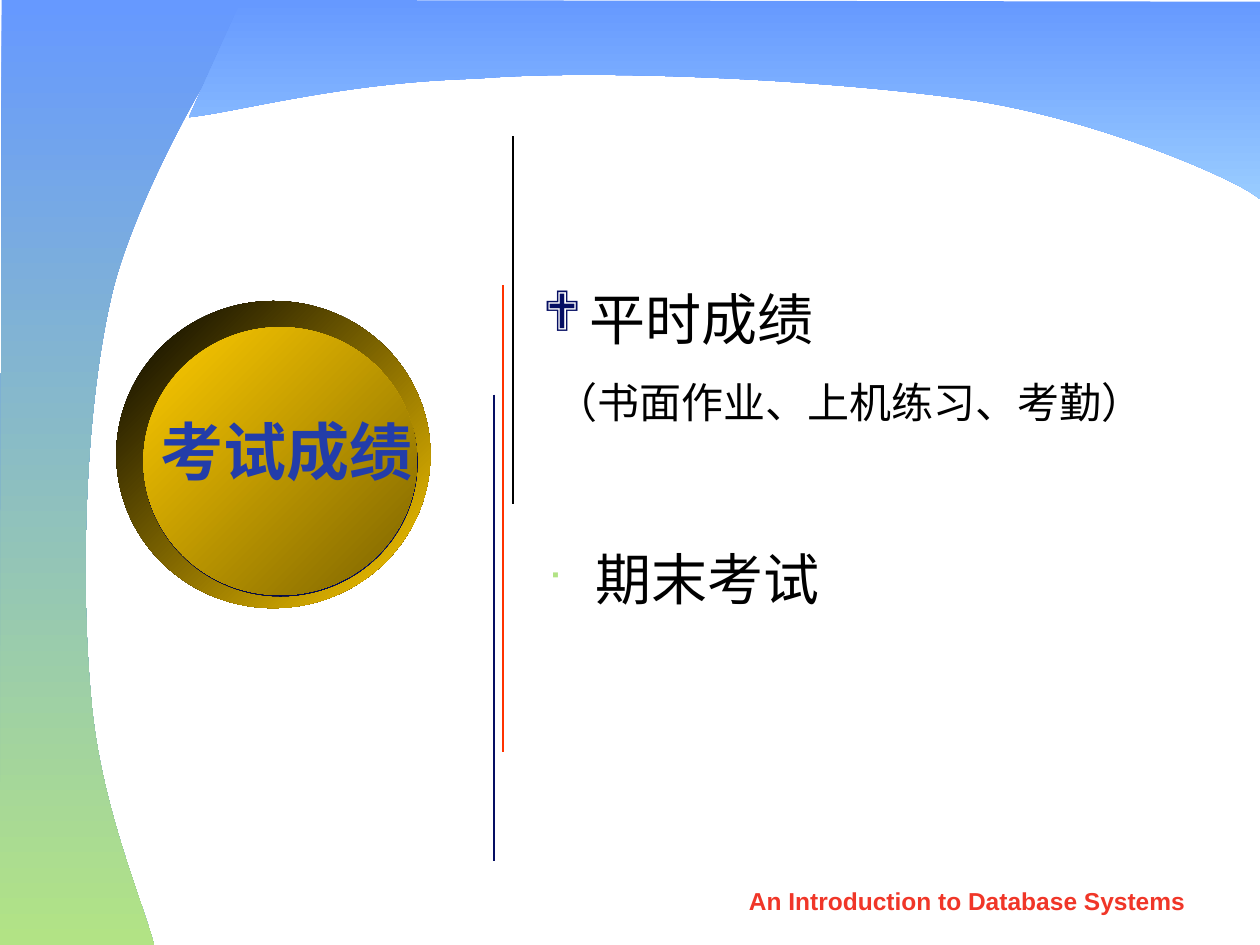
from copy import deepcopy
from dataclasses import dataclass

from lxml.etree import SubElement
from pptx import Presentation
from pptx.dml.color import RGBColor as RGB
from pptx.enum.shapes import MSO_CONNECTOR as Connector, MSO_SHAPE as Preset
from pptx.enum.text import MSO_ANCHOR as Anchor, MSO_AUTO_SIZE as AutoSize, PP_ALIGN as Align
from pptx.oxml.ns import qn
from pptx.util import Pt

Point = tuple[float, float]


@dataclass(frozen=True)
class Theme:
    sky: str = "6699FF"
    pale_sky: str = "99CCFF"
    green: str = "B2E385"
    gold: str = "FFCC00"
    dark_gold: str = "7C6300"
    black: str = "000000"
    navy: str = "050E63"
    deep_navy: str = "030836"
    blue: str = "233DA9"
    orange: str = "FF3300"
    red: str = "F03628"
    title_font: str = "Karla"
    latin_font: str = "Arial"
    chinese_font: str = "Noto Sans CJK SC"
    bullet_font: str = "Wingdings"
    title_size: float = 36
    item_size: float = 32
    detail_size: float = 24
    footer_size: float = 14


@dataclass(frozen=True)
class Swoosh:
    start: Point
    curves: tuple[tuple[Point, Point, Point], ...]
    corners: tuple[Point, ...]
    colors: tuple[str, ...]


@dataclass(frozen=True)
class Disc:
    left: float
    top: float
    width: float
    height: float
    colors: tuple[str, ...]
    angle: float  # clockwise


@dataclass(frozen=True)
class Rule:
    x: float
    top: float
    bottom: float
    color: str


THEME = Theme()

SWOOSHES = (
    Swoosh((88, 540),
           (((82, 516), (57, 460), (52.5, 397.5)),
            ((45.5, 334), (48, 232), (65, 164)),
            ((82, 100), (138, 7), (150, 0.5))),
           ((0.75, 0), (0, 540)), (THEME.sky, THEME.green)),
    Swoosh((108, 67),
           (((135.5, 63.5), (196, 47), (271.5, 45)),
            ((343, 39), (483, 45.5), (559.5, 57.5)),
            ((633, 70.5), (712, 105), (719.5, 114))),
           ((720, 1.25), (137.5, 0)), (THEME.sky, THEME.pale_sky)),
)

DISCS = (
    Disc(66.5, 172, 179.5, 175.5, (THEME.black, THEME.gold), 45),
    Disc(82, 187.75, 156.5, 153, (THEME.deep_navy, THEME.navy, THEME.deep_navy), 315),
    Disc(82, 187, 156.25, 153, (THEME.gold, THEME.dark_gold), 45),
)

RULES = (
    Rule(287.5, 163, 429.5, THEME.orange),
    Rule(282.25, 225.5, 491.75, THEME.navy),
    Rule(293.25, 78, 288, THEME.black),
)


def paint_gradient(shape, colors: tuple[str, ...], angle: float) -> None:
    shape.shadow.inherit = False
    shape.line.fill.background()
    fill = shape.fill
    fill.gradient()
    fill.gradient_angle = (360 - angle) % 360
    stop_list = shape.element.find(".//" + qn("a:gsLst"))
    for _ in colors[2:]:
        stop_list.append(deepcopy(stop_list[-1]))
    for i, (stop, color) in enumerate(zip(fill.gradient_stops, colors)):
        stop.position = i / (len(colors) - 1)
        stop.color.rgb = RGB.from_string(color)


def draw_swoosh(slide, swoosh: Swoosh) -> None:
    handles = [point for curve in swoosh.curves for point in curve]
    builder = slide.shapes.build_freeform(*swoosh.start, scale=float(Pt(1)))
    builder.add_line_segments([*handles, *swoosh.corners], close=True)
    shape = builder.convert_to_shape()
    # Each three handle points become one Bézier segment
    segments = list(shape.element.iter(qn("a:lnTo")))
    for i in range(0, len(handles), 3):
        first, *others = segments[i:i + 3]
        first.tag = qn("a:cubicBezTo")
        for other in others:
            first.append(other[0])
            other.getparent().remove(other)
    paint_gradient(shape, swoosh.colors, 90)


def draw_disc(slide, disc: Disc) -> None:
    oval = slide.shapes.add_shape(Preset.OVAL, Pt(disc.left), Pt(disc.top),
                                  Pt(disc.width), Pt(disc.height))
    paint_gradient(oval, disc.colors, disc.angle)


def draw_rule(slide, rule: Rule) -> None:
    line = slide.shapes.add_connector(Connector.STRAIGHT, Pt(rule.x), Pt(rule.top),
                                      Pt(rule.x), Pt(rule.bottom))
    line.line.color.rgb = RGB.from_string(rule.color)
    line.line.width = Pt(1)
    SubElement(line.element.spPr, qn("a:effectLst"))


def add_frame(slide, left: float, top: float, width: float, height: float):
    frame = slide.shapes.add_textbox(Pt(left), Pt(top), Pt(width), Pt(height)).text_frame
    frame.word_wrap = True
    return frame


def style(paragraph, font_name: str, size: float, color: str, bold: bool = False) -> None:
    font = paragraph.font
    font.name, font.size, font.bold = font_name, Pt(size), bold
    font.color.rgb = RGB.from_string(color)
    defaults = paragraph._p.pPr.find(qn("a:defRPr"))
    SubElement(defaults, qn("a:ea"), typeface=THEME.chinese_font)


def hang(paragraph, space_before: float) -> None:
    paragraph.space_before = Pt(space_before)
    props = paragraph._p.get_or_add_pPr()
    props.set("marL", str(Pt(27)))
    props.set("indent", str(Pt(-27)))


def add_bullet(paragraph, char: str, color: str, percent: int = 100) -> None:
    props = paragraph._p.get_or_add_pPr()
    SubElement(SubElement(props, qn("a:buClr")), qn("a:srgbClr"), val=color)
    SubElement(props, qn("a:buSzPct"), val=str(percent * 1000))
    SubElement(props, qn("a:buFont"), typeface=THEME.bullet_font)
    SubElement(props, qn("a:buChar"), char=char)


def main() -> None:
    deck = Presentation()
    deck.slide_width, deck.slide_height = Pt(720), Pt(540)
    slide = deck.slides.add_slide(deck.slide_layouts[5])

    # Background sweeps
    for swoosh in SWOOSHES:
        draw_swoosh(slide, swoosh)

    # Course line at the foot
    course = add_frame(slide, 411, 502.5, 283.5, 25).paragraphs[0]
    course.text = "An Introduction to Database Systems"
    course.alignment = Align.CENTER
    style(course, THEME.latin_font, THEME.footer_size, THEME.red, bold=True)

    # Coursework and its details
    coursework_frame = add_frame(slide, 303, 159, 393, 93)
    coursework = coursework_frame.paragraphs[0]
    coursework.text = "平时成绩"
    hang(coursework, 8)
    add_bullet(coursework, "❖", THEME.navy)
    style(coursework, THEME.chinese_font, THEME.item_size, THEME.black)

    details = coursework_frame.add_paragraph()
    hang(details, 6)
    style(details, THEME.chinese_font, THEME.item_size, THEME.black)
    for words, size in ((" ", THEME.item_size),
                        ("（书面作业、上机练习、考勤）", THEME.detail_size)):
        run = details.add_run()
        run.text = words
        run.font.size = Pt(size)

    # Final exam
    exam = add_frame(slide, 306, 312, 229.5, 54).paragraphs[0]
    exam.text = "期末考试"
    exam.line_spacing = 0.9
    hang(exam, 8)
    add_bullet(exam, "■", THEME.green, 60)
    style(exam, THEME.latin_font, THEME.item_size, THEME.black)

    # Gold medallion with the title in front
    for disc in DISCS:
        draw_disc(slide, disc)
    title = slide.shapes.title
    title.left, title.top, title.width, title.height = Pt(84.5), Pt(232), Pt(158.5), Pt(50.5)
    frame = title.text_frame
    frame.text = "考试成绩"
    frame.word_wrap = False
    frame.auto_size = AutoSize.SHAPE_TO_FIT_TEXT
    frame.vertical_anchor = Anchor.TOP
    frame.paragraphs[0].alignment = Align.CENTER
    style(frame.paragraphs[0], THEME.title_font, THEME.title_size, THEME.blue, bold=True)
    title.element.getparent().append(title.element)

    # Vertical dividers
    for rule in RULES:
        draw_rule(slide, rule)

    deck.save("out.pptx")


if __name__ == "__main__":
    main()
